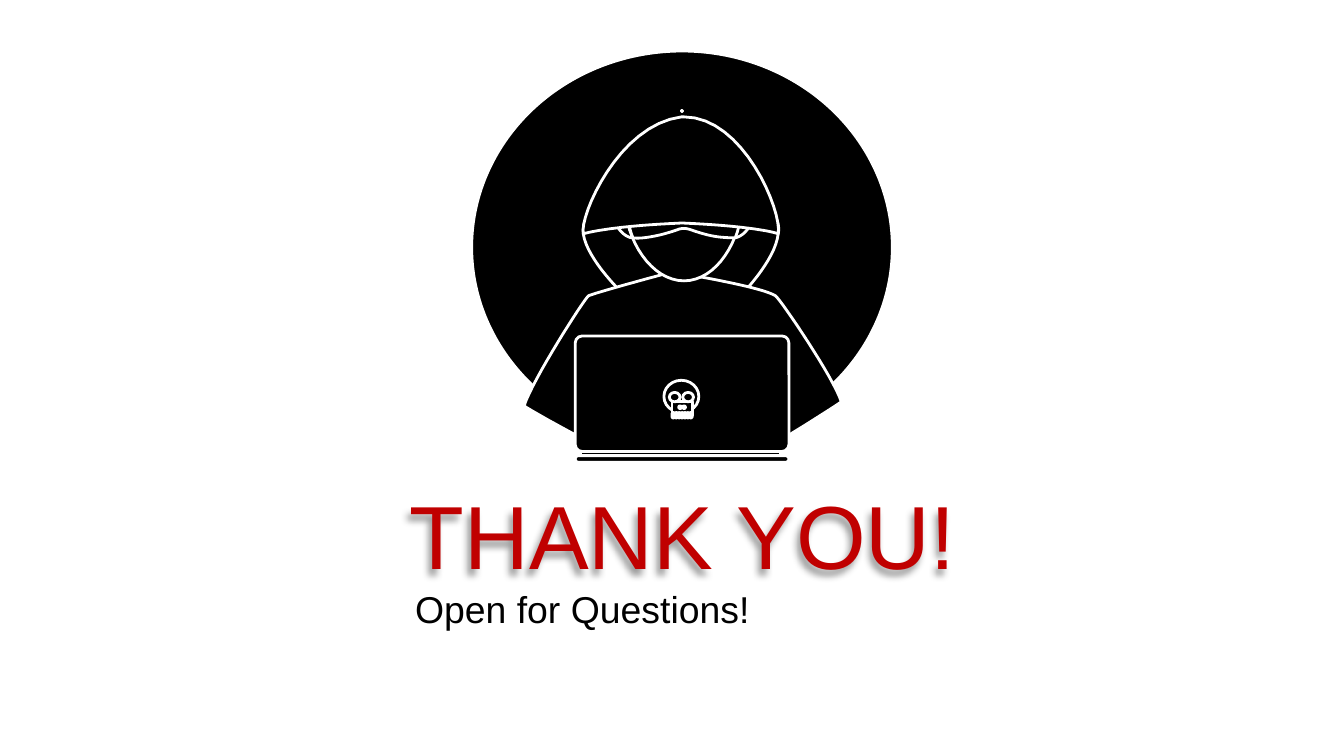
from lxml.etree import SubElement as Sub
from pptx import Presentation
from pptx.dml.color import RGBColor as RGB
from pptx.enum.shapes import MSO_SHAPE as Kind
from pptx.enum.text import MSO_ANCHOR as Anchor, PP_ALIGN as Align
from pptx.oxml.ns import qn
from pptx.util import Pt

PX = 9144  # one px is a hundredth of an inch
WIDE = 1000 * PX
HIGH = WIDE * 9 // 16
STEPS = 16
AXIS = 1017  # sum of the x values of two mirrored points
COLORS = {"ink": "000000", "line": "FFFFFF", "title": "C00000"}

# A path is a start point, then lines (x, y) and curves (two handles, end).
RIGHT_FLAP = [(507, 93), (507, 220), (551, 220), (551, 220, 577, 194, 579, 174),
              (580, 170, 579, 165, 577, 162), (570, 153, 564, 134, 555, 118),
              (551, 113, 546, 108, 541, 105), (527, 95, 511, 93, 508, 93)]
LEFT_FLAP = [(507, 93), (504, 93, 488, 95, 475, 105), (468, 109, 462, 115, 457, 122),
             (448, 138, 442, 154, 437, 162), (434, 165, 434, 170, 434, 174),
             (437, 194, 465, 220, 465, 220), (508, 220), (508, 93)]
TORSO = [(494, 204), (494, 204, 449, 216, 438, 220), (435, 222, 396, 283, 390, 302),
         (394, 305, 432, 326, 437, 328), (444, 329, 451, 287, 459, 287),
         (474, 293, 491, 296, 508, 296), (525, 296, 541, 293, 556, 288),
         (564, 288, 572, 329, 578, 329), (584, 326, 622, 302, 626, 299),
         (621, 282, 581, 223, 577, 220), (567, 214, 521, 206, 521, 206)]
EAR = [(466, 155), (460, 155, 458, 158, 458, 164), (458, 169, 465, 177, 471, 177),
       (477, 177, 482, 172, 482, 166), (482, 160, 472, 155, 466, 155)]
FACE = [(509, 101), (485, 101, 465, 119, 465, 149), (465, 179, 485, 209, 509, 209),
        (533, 209, 552, 179, 552, 149), (552, 119, 533, 101, 509, 101)]
MASK = [(468, 154), (468, 154, 466, 166, 471, 177), (476, 178, 490, 176, 504, 171),
        (504, 171, 506, 170, 509, 170), (511, 170, 514, 171, 514, 171),
        (528, 176, 536, 177, 547, 177), (552, 166, 550, 154, 550, 154)]
HOOD = [(507, 87), (460, 93, 431, 161, 434, 174), (437, 173, 458, 168, 507, 166),
        (508, 166), (557, 168, 577, 173, 579, 174), (582, 157, 553, 87, 509, 87)]


def rgb(name):
    return RGB.from_string(COLORS[name])


def paint(shape):
    shape.shadow.inherit = False
    shape.fill.solid()
    shape.fill.fore_color.rgb = rgb("ink")
    shape.line.color.rgb = rgb("line")
    shape.line.width = Pt(1.5)


def block(group, kind, left, top, width, height, radius=None):
    shape = group.shapes.add_shape(kind, *(round(v * PX) for v in (left, top, width, height)))
    if radius is not None:
        shape.adjustments[0] = radius
    paint(shape)


def trace(path):
    """Turn lines and cubic curves into a list of points."""
    points = [path[0]]
    for part in path[1:]:
        if len(part) == 2:
            points.append(part)
            continue
        ends = [points[-1], part[:2], part[2:4], part[4:]]
        for step in range(1, STEPS + 1):
            t = step / STEPS
            s = 1 - t
            weights = (s**3, 3 * s * s * t, 3 * s * t * t, t**3)
            points.append(tuple(sum(w * p[i] for w, p in zip(weights, ends))
                                for i in (0, 1)))
    return points


def outline(group, path, mirror=False):
    points = [((AXIS - x if mirror else x) * PX, y * PX) for x, y in trace(path)]
    form = group.shapes.build_freeform(*points[0])
    form.add_line_segments(points[1:], close=True)
    paint(form.convert_to_shape())


def write(shape, text, box, size, color):
    shape.left, shape.top, shape.width, shape.height = (v * PX for v in box)
    frame = shape.text_frame
    frame.word_wrap = True
    frame.vertical_anchor = Anchor.TOP
    frame.margin_left = frame.margin_right = 10 * PX
    frame.margin_top = frame.margin_bottom = 5 * PX
    para = frame.paragraphs[0]
    para.text = text
    para.alignment = Align.LEFT
    para.line_spacing = 1.0
    font = para.runs[0].font
    font.name, font.size, font.bold = "Arial", Pt(size), False
    font.color.rgb = rgb(color)


def cast(shape):
    """Add a soft shadow that falls down and to the left."""
    effects = Sub(shape.element.spPr, qn("a:effectLst"))
    shade = Sub(effects, qn("a:outerShdw"), blurRad=str(Pt(4)), dist=str(Pt(4)),
                dir="7800000", algn="tr", rotWithShape="0")
    color = Sub(shade, qn("a:srgbClr"), val=COLORS["ink"])
    Sub(color, qn("a:alpha"), val="40000")


def person(group):
    block(group, Kind.OVAL, 351, 38, 313, 292)
    block(group, Kind.RECTANGLE, 507, 82, 1, 1)
    outline(group, RIGHT_FLAP)
    outline(group, LEFT_FLAP)
    block(group, Kind.RECTANGLE, 494, 197, 28, 44)
    block(group, Kind.OVAL, 494, 226, 28, 10)
    outline(group, TORSO)
    outline(group, EAR)
    outline(group, EAR, mirror=True)
    for path in (FACE, MASK, HOOD):
        outline(group, path)


def laptop(group):
    block(group, Kind.RECTANGLE, 432, 327, 149, 14)
    block(group, Kind.ROUNDED_RECTANGLE, 428, 250, 159, 86, radius=0.06)
    block(group, Kind.ROUNDED_RECTANGLE, 428, 339, 159, 5, radius=0.5)


def skull(group):
    block(group, Kind.OVAL, 494, 283, 26, 24)
    block(group, Kind.RECTANGLE, 500, 299, 15, 10)
    for left in (498, 508):
        block(group, Kind.OVAL, left, 292, 8, 7)
    for left in (505, 508):
        block(group, Kind.OVAL, left, 302, 2, 2)
    for tooth in range(7):
        block(group, Kind.ROUNDED_RECTANGLE, 500 + tooth * 13 / 6, 307, 2, 4, radius=0.5)


def main():
    deck = Presentation()
    deck.slide_width, deck.slide_height = WIDE, HIGH
    slide = deck.slides.add_slide(deck.slide_layouts[5])
    title = slide.shapes.title
    write(title, "THANK YOU!", (295, 352, 442, 114), 48, "title")
    cast(title)
    group = slide.shapes.add_group_shape()
    person(group)
    laptop(group)
    skull(group)
    note = slide.shapes.add_textbox(0, 0, PX, PX)
    write(note, "Open for Questions!", (299, 431, 408, 44), 20, "ink")
    deck.save("out.pptx")


if __name__ == "__main__":
    main()
